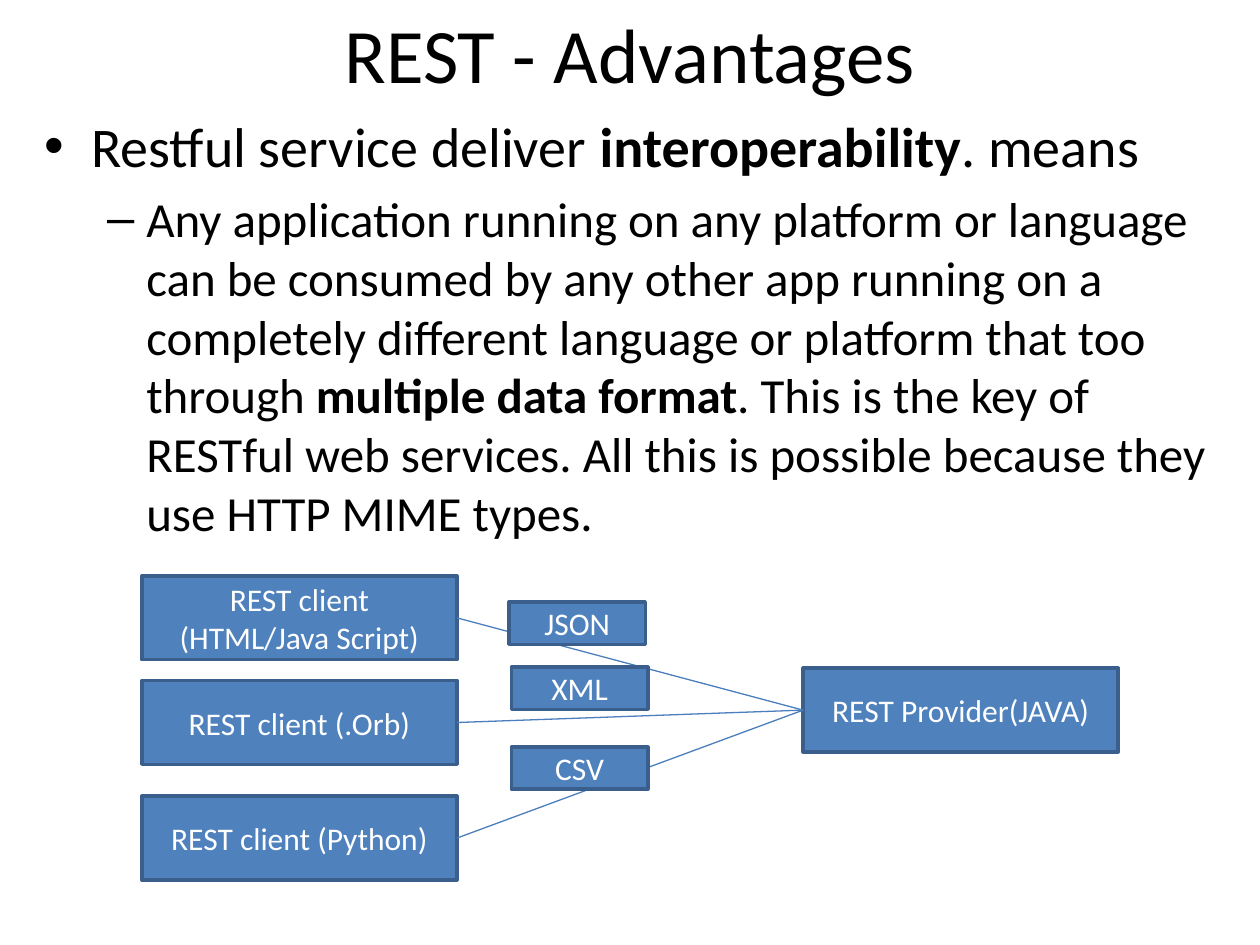
from dataclasses import dataclass

from lxml import etree
from pptx import Presentation
from pptx.dml.color import RGBColor
from pptx.enum.shapes import MSO_CONNECTOR, MSO_SHAPE
from pptx.enum.text import MSO_ANCHOR, PP_ALIGN
from pptx.oxml.ns import qn
from pptx.util import Cm, Pt

CENTER, LEFT = PP_ALIGN.CENTER, PP_ALIGN.LEFT
MIDDLE, TOP = MSO_ANCHOR.MIDDLE, MSO_ANCHOR.TOP
RECTANGLE, STRAIGHT = MSO_SHAPE.RECTANGLE, MSO_CONNECTOR.STRAIGHT
RIGHT_SITE, LEFT_SITE = 3, 1


@dataclass(frozen=True)
class Theme:
    font: str = "Calibri"
    ink: RGBColor = RGBColor(0x00, 0x00, 0x00)
    box_text: RGBColor = RGBColor(0xFF, 0xFF, 0xFF)
    box_fill: RGBColor = RGBColor(0x4F, 0x81, 0xBD)
    box_edge: RGBColor = RGBColor(0x3A, 0x5F, 0x8C)
    link: RGBColor = RGBColor(0x4B, 0x7E, 0xBC)
    title_size: int = 44
    point_size: int = 32
    detail_size: int = 28
    box_size: int = 18


theme = Theme()


def add_run(paragraph, text, size, color, bold=False):
    run = paragraph.add_run()
    run.text = text
    run.font.name = theme.font
    run.font.size = Pt(size)
    run.font.color.rgb = color
    run.font.bold = bold


def add_box(shapes, label, left, top, width, height):
    box = shapes.add_shape(RECTANGLE, Cm(left), Cm(top), Cm(width), Cm(height))
    box.shadow.inherit = False
    box.fill.solid()
    box.fill.fore_color.rgb = theme.box_fill
    box.line.color.rgb = theme.box_edge
    box.line.width = Pt(2)
    box.text_frame.word_wrap = True
    box.text_frame.vertical_anchor = MIDDLE
    paragraph = box.text_frame.paragraphs[0]
    paragraph.alignment = CENTER
    add_run(paragraph, label, theme.box_size, theme.box_text)
    return box


prs = Presentation()
prs.slide_width, prs.slide_height = Cm(25.4), Cm(19.05)
slide = prs.slides.add_slide(prs.slide_layouts[5])

# Title
title = slide.shapes.title
title.left, title.top, title.width, title.height = Cm(0), Cm(0), Cm(25.4), Cm(2.12)
title.text_frame.vertical_anchor = MIDDLE
heading = title.text_frame.paragraphs[0]
heading.alignment = CENTER
add_run(heading, "REST - Advantages", theme.title_size, theme.ink)

# Bulleted explanation: level, bullet, left margin, hanging indent, size, runs
points = [
    (0, "•", 0.95, 0.95, theme.point_size, [
        ("Restful service deliver ", False),
        ("interoperability", True),
        (". means", False)]),
    (1, "–", 2.06, 0.79, theme.detail_size, [
        ("Any application running on any platform or language can be consumed "
         "by any other app running on a completely different language or "
         "platform that too through ", False),
        ("multiple data format", True),
        (". This is the key of RESTful web services. All this is possible "
         "because they use HTTP MIME types.", False)]),
]
explanation = slide.shapes.add_textbox(Cm(0.64), Cm(2.12), Cm(24.76), Cm(16.51)).text_frame
explanation.word_wrap = True
explanation.vertical_anchor = TOP
for index, (level, bullet, margin, hanging, size, runs) in enumerate(points):
    point = explanation.add_paragraph() if index else explanation.paragraphs[0]
    point.level = level
    point.alignment = LEFT
    point.space_before = Pt(0.2 * size)
    properties = point._p.get_or_add_pPr()
    properties.set("marL", str(Cm(margin)))
    properties.set("indent", str(-Cm(hanging)))
    etree.SubElement(properties, qn("a:buFont"), typeface="Arial")
    etree.SubElement(properties, qn("a:buChar"), char=bullet)
    for text, bold in runs:
        add_run(point, text, size, theme.ink, bold)

# Clients and provider
diagram = slide.shapes.add_group_shape().shapes
node_width, node_height = 6.35, 1.69
client_labels = [
    ("REST client (HTML/Java Script)", 11.61),
    ("REST client (.Orb)", 13.72),
    ("REST client (Python)", 16.05),
]
clients = [add_box(diagram, label, 2.86, top, node_width, node_height)
           for label, top in client_labels]
provider = add_box(diagram, "REST Provider(JAVA)", 16.19, 13.47, node_width, node_height)

# Links from each client to the provider
for client in clients:
    link = diagram.add_connector(STRAIGHT, 0, 0, 0, 0)
    link.begin_connect(client, RIGHT_SITE)
    link.end_connect(provider, LEFT_SITE)
    link.line.color.rgb = theme.link
    link.line.width = Pt(0.75)
    etree.SubElement(link._element.spPr, qn("a:effectLst"))

# Data formats on top of the links
for label, left, top in [("JSON", 10.26, 12.14), ("XML", 10.31, 13.45), ("CSV", 10.31, 15.06)]:
    add_box(diagram, label, left, top, 2.75, 0.85)

prs.save("out.pptx")
